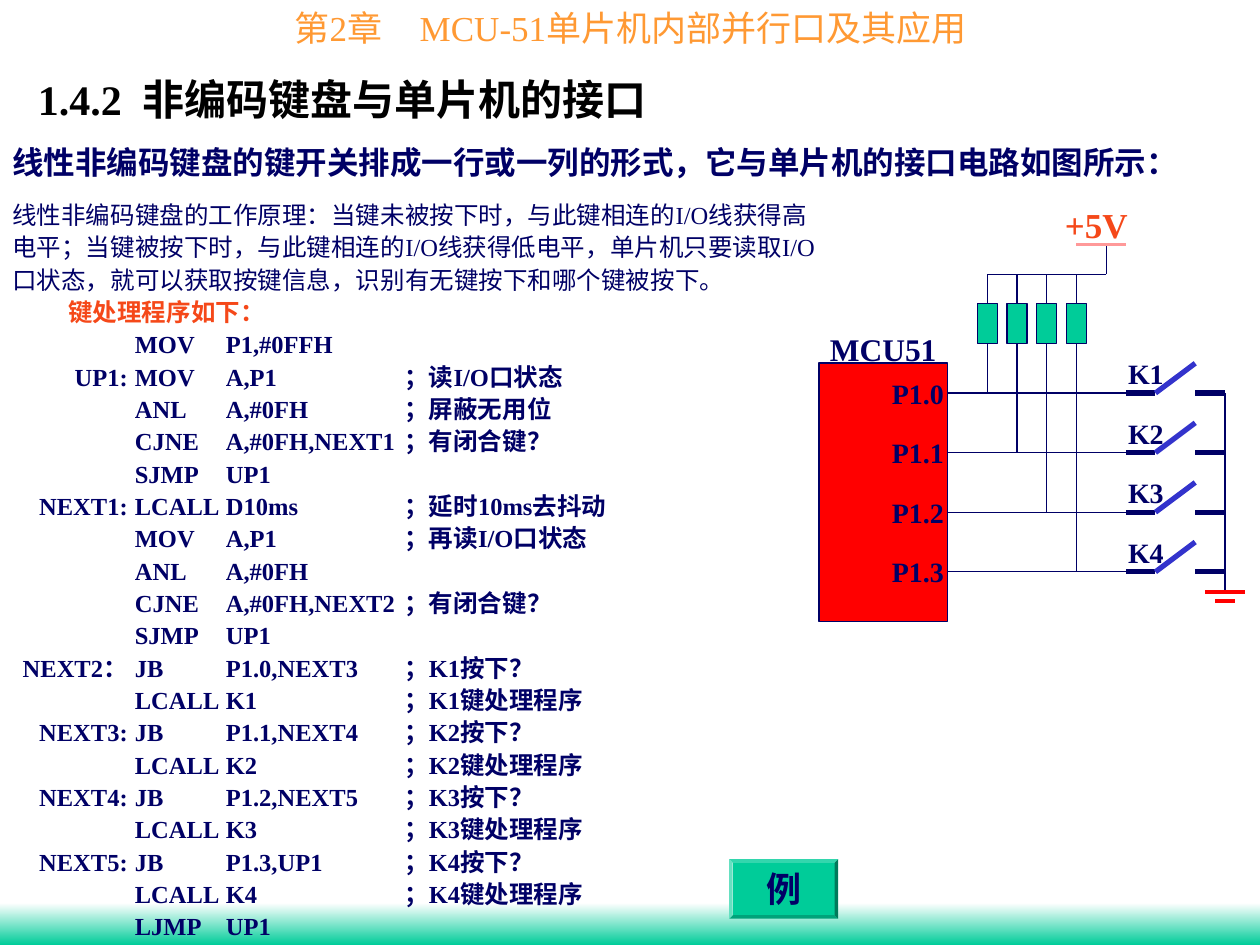
from lxml.etree import SubElement
from pptx import Presentation
from pptx.dml.color import RGBColor
from pptx.enum.shapes import MSO_CONNECTOR, MSO_SHAPE as SHAPE
from pptx.enum.text import MSO_ANCHOR as ANCHOR, MSO_AUTO_SIZE as AUTO_SIZE, PP_ALIGN as ALIGN
from pptx.oxml.ns import qn
from pptx.util import Pt

COLORS = {
    "navy": "000066", "blue": "3333CC", "green": "00CC99", "red": "FF0000",
    "orange": "FF9933", "vermilion": "F54819", "pink": "FF9999",
    "white": "FFFFFF", "black": "000000",
}
COLORS = {name: RGBColor.from_string(value) for name, value in COLORS.items()}


def write(shape, lines, size, color="navy", bold=True, wrap=True, tabs=(), **formats):
    """Fill a shape with one paragraph per line, all in the same format."""
    frame = shape.text_frame
    frame.word_wrap = wrap
    frame.auto_size = AUTO_SIZE.NONE
    frame.text = "\n".join(lines)
    for paragraph in frame.paragraphs:
        for name, value in formats.items():
            setattr(paragraph, name, value)
        font = paragraph.runs[0].font
        font.name, font.size, font.bold = "Times New Roman", Pt(size), bold
        font.color.rgb = COLORS[color]
        if tabs:
            tab_list = SubElement(paragraph._p.get_or_add_pPr(), qn("a:tabLst"))
            for position, align in tabs:
                SubElement(tab_list, qn("a:tab"), pos=str(Pt(position)), algn=align)
    return frame


def draw_line(x1, y1, x2, y2, color="navy", width=0.75):
    line = slide.shapes.add_connector(MSO_CONNECTOR.STRAIGHT, Pt(x1), Pt(y1), Pt(x2), Pt(y2))
    line.line.color.rgb = COLORS[color]
    line.line.width = Pt(width)
    SubElement(line._element.spPr, qn("a:effectLst"))


presentation = Presentation()
presentation.slide_width, presentation.slide_height = Pt(720), Pt(540)
slide = presentation.slides.add_slide(presentation.slide_layouts[5])
shapes = slide.shapes

# Gradient band at the foot
band = shapes.add_shape(SHAPE.RECTANGLE, Pt(0), Pt(516), Pt(720), Pt(24))
band.shadow.inherit = False
band.line.fill.background()
band.fill.gradient()
band.fill.gradient_angle = 270
for stop, position, color in zip(band.fill.gradient_stops, (0, 1), ("white", "green")):
    stop.position = position
    stop.color.rgb = COLORS[color]

# Chapter heading, title and lead sentence
chapter = shapes.add_textbox(Pt(161.3), Pt(0), Pt(415.5), Pt(32))
write(chapter, ["第2章\tMCU-51单片机内部并行口及其应用"], 20, "orange", False, tabs=[(71.5, "l")])

title = shapes.title
title.left, title.top, title.width, title.height = Pt(0), Pt(27.5), Pt(397), Pt(57.5)
frame = write(title, ["1.4.2  非编码键盘与单片机的接口"], 24, "black", alignment=ALIGN.CENTER)
frame.vertical_anchor = ANCHOR.MIDDLE
frame.margin_right = Pt(13)

lead = shapes.add_textbox(Pt(0), Pt(71.5), Pt(720), Pt(39.5))
write(lead, ["线性非编码键盘的键开关排成一行或一列的形式，它与单片机的接口电路如图所示："],
      18, line_spacing=1.3, alignment=ALIGN.JUSTIFY)

# Chip and pull-up resistors
ROW_TOP, ROW_STEP = 224.6, 34.05
COLUMN_LEFT, COLUMN_STEP = 564.2, 17
CHIP_RIGHT, SWITCH_LEFT, GROUND_X = 541.5, 643.5, 700
BUS_Y, SUPPLY_X, SUPPLY_Y = 156.8, 632.2, 139.7
RESISTOR_TOP, RESISTOR_WIDTH, RESISTOR_HEIGHT = 173.5, 11.4, 22.8

boxes = [(468, 207.5, 73.5, 147.5, "red")]
boxes += [(COLUMN_LEFT + i * COLUMN_STEP - RESISTOR_WIDTH / 2, RESISTOR_TOP,
           RESISTOR_WIDTH, RESISTOR_HEIGHT, "green") for i in range(4)]
for left, top, width, height, color in boxes:
    box = shapes.add_shape(SHAPE.FLOWCHART_PROCESS, Pt(left), Pt(top), Pt(width), Pt(height))
    box.shadow.inherit = False
    box.fill.solid()
    box.fill.fore_color.rgb = COLORS[color]
    box.line.color.rgb = COLORS["navy"]
    box.line.width = Pt(0.75)

# Port rows, each with its resistor branch and switch
labels = [("MCU51", 462.2, 191, 85, 17.3, 18, "navy"),
          ("+5V", 609.5, 116.8, 34, 23, 20, "vermilion")]
for i in range(4):
    x = COLUMN_LEFT + i * COLUMN_STEP
    y = ROW_TOP + i * ROW_STEP
    draw_line(x, BUS_Y, x, RESISTOR_TOP)
    draw_line(x, RESISTOR_TOP + RESISTOR_HEIGHT, x, y)
    draw_line(CHIP_RIGHT, y, SWITCH_LEFT, y)
    draw_line(SWITCH_LEFT, y, 660.3, y, width=3)
    draw_line(683, y, GROUND_X, y, width=3)
    draw_line(660.3, y, 683, y - 17, "blue", 3)
    labels.append((f"P1.{i}", 507.5, y - 11.3, 34, 22.5, 16, "navy"))
    labels.append((f"K{i + 1}", 637.8, y - 22.5, 34, 22.5, 16, "navy"))

# Supply and ground
draw_line(COLUMN_LEFT, BUS_Y, SUPPLY_X, BUS_Y)
draw_line(SUPPLY_X, BUS_Y, SUPPLY_X, SUPPLY_Y)
draw_line(615, SUPPLY_Y, SWITCH_LEFT, SUPPLY_Y, "pink", 1.75)
draw_line(GROUND_X, ROW_TOP, GROUND_X, 338.2)
draw_line(688.8, 338.2, 711.5, 338.2, "red", 2.25)
draw_line(694.3, 343.7, 705.7, 343.7, "red", 2.25)

# Circuit labels
for text, left, top, width, height, size, color in labels:
    label = shapes.add_textbox(Pt(left), Pt(top), Pt(width), Pt(height))
    frame = write(label, [text], size, color, wrap=False, alignment=ALIGN.CENTER)
    frame.vertical_anchor = ANCHOR.MIDDLE

# Principle and program: label, operation, operand, comment
principle = ("线性非编码键盘的工作原理：当键未被按下时，与此键相连的I/O线获得高电平；"
             "当键被按下时，与此键相连的I/O线获得低电平，单片机只要读取I/O口状态，"
             "就可以获取按键信息，识别有无键按下和哪个键被按下。")
program = [
    ("", "MOV", "P1,#0FFH"),
    ("UP1:", "MOV", "A,P1", "；读I/O口状态"),
    ("", "ANL", "A,#0FH", "；屏蔽无用位"),
    ("", "CJNE", "A,#0FH,NEXT1", "；有闭合键？"),
    ("", "SJMP", "UP1"),
    ("NEXT1:", "LCALL", "D10ms", "；延时10ms去抖动"),
    ("", "MOV", "A,P1", "；再读I/O口状态"),
    ("", "ANL", "A,#0FH"),
    ("", "CJNE", "A,#0FH,NEXT2", "；有闭合键？"),
    ("", "SJMP", "UP1"),
    ("NEXT2：", "JB", "P1.0,NEXT3", "；K1按下？"),
    ("", "LCALL", "K1", "；K1键处理程序"),
    ("NEXT3:", "JB", "P1.1,NEXT4", "；K2按下？"),
    ("", "LCALL", "K2", "；K2键处理程序"),
    ("NEXT4:", "JB", "P1.2,NEXT5", "；K3按下？"),
    ("", "LCALL", "K3", "；K3键处理程序"),
    ("NEXT5:", "JB", "P1.3,UP1", "；K4按下？"),
    ("", "LCALL", "K4", "；K4键处理程序"),
    ("", "LJMP", "UP1"),
]
lines = [principle, "键处理程序如下："] + ["\t" + "\t".join(row) for row in program]
listing = shapes.add_textbox(Pt(0), Pt(108.7), Pt(479), Pt(432.7))
frame = write(listing, lines, 14, line_spacing=1.1,
              tabs=[(66, "r"), (70, "l"), (122, "l"), (224, "l")])
frame.vertical_anchor = ANCHOR.MIDDLE
intro, heading = frame.paragraphs[:2]
intro.runs[0].font.bold = False
heading.runs[0].font.color.rgb = COLORS["vermilion"]
heading._p.get_or_add_pPr().set("marL", str(Pt(32)))

# Example button
button = shapes.add_shape(SHAPE.BEVEL, Pt(416.7), Pt(491), Pt(62.3), Pt(34))
button.adjustments[0] = 0.06
button.shadow.inherit = False
button.fill.solid()
button.fill.fore_color.rgb = COLORS["green"]
button.line.fill.background()
frame = write(button, ["例"], 20, wrap=False, alignment=ALIGN.CENTER)
frame.vertical_anchor = ANCHOR.MIDDLE

presentation.save("out.pptx")
